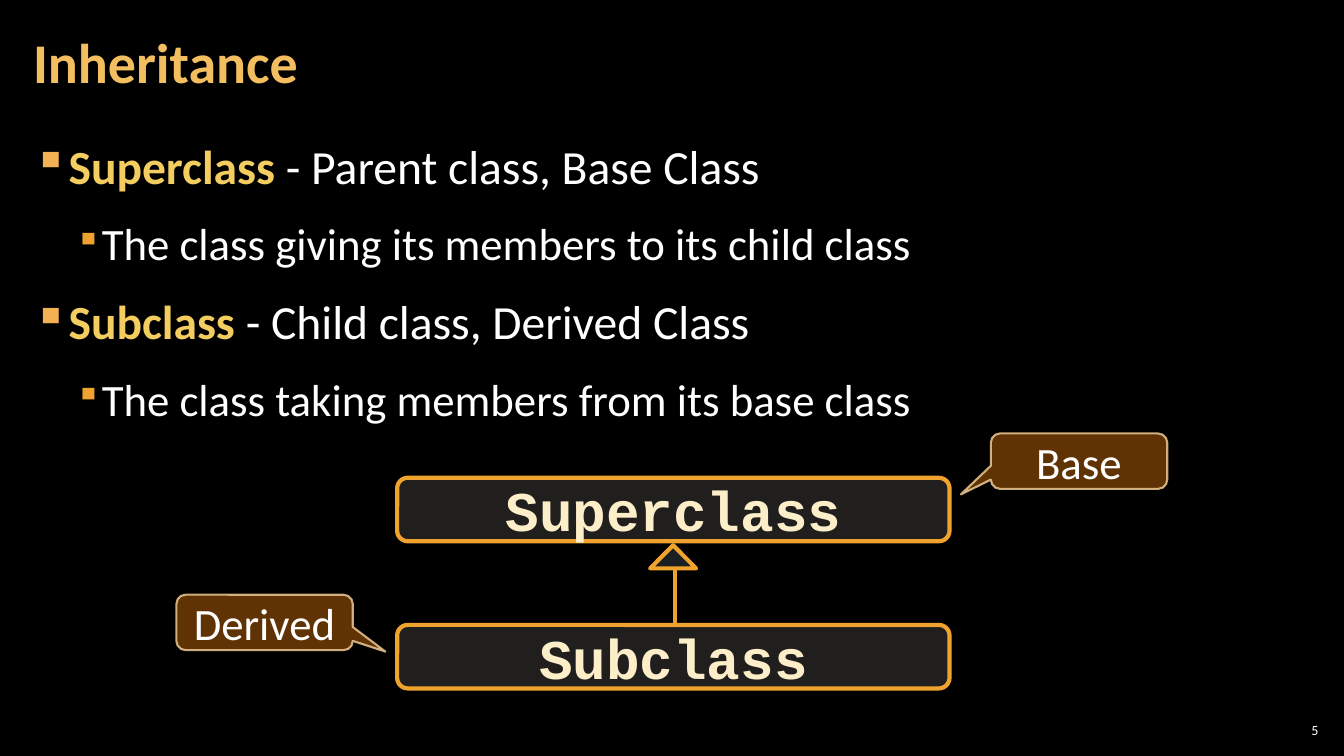
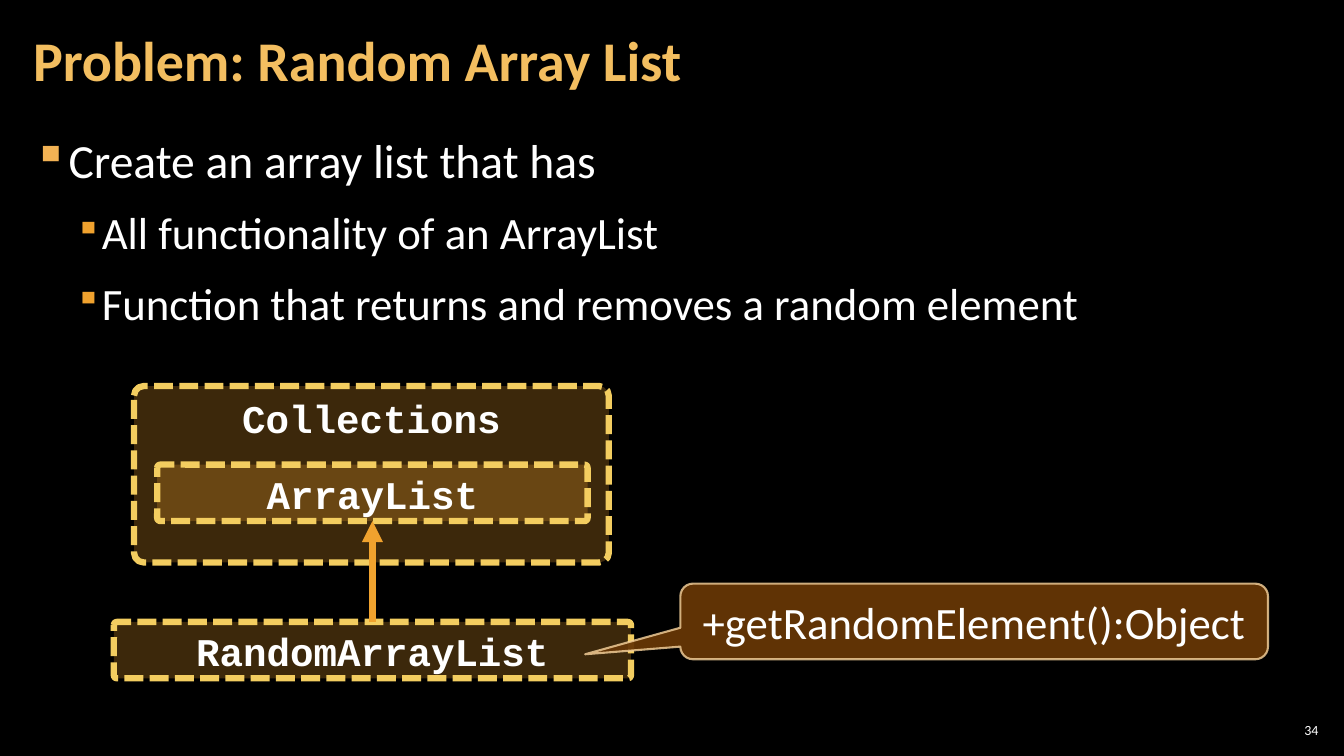
import dataclasses
import pptx
import pptx.util
import pptx.dml.color
import pptx.enum.dml
import pptx.enum.shapes
import pptx.enum.text
import pptx.oxml
import pptx.oxml.ns

Pt = pptx.util.Pt
SHAPE = pptx.enum.shapes.MSO_SHAPE
ALIGN = pptx.enum.text.PP_ALIGN
ANCHOR = pptx.enum.text.MSO_ANCHOR


@dataclasses.dataclass(frozen=True)
class Theme:
    background: str = "000000"
    text: str = "FFFFFF"
    title: str = "F3BE60"
    term: str = "F3CD60"
    orange: str = "F0A22E"
    cream: str = "FBEEC9"
    class_fill: str = "D9D5C7"
    arrowhead_fill: str = "B5DBE5"
    callout_fill: str = "663606"
    callout_line: str = "F8D49E"
    bullet_colors: tuple = ("F2B254", "F0A22E")
    font: str = "Calibri"
    code_font: str = "Courier New"
    title_size: int = 40
    body_sizes: tuple = (34, 32)
    callout_size: int = 32
    class_size: int = 40
    dashed_size: int = 28
    number_size: int = 10


THEME = Theme()
TITLE_BOX = (15.12, 2.88, 753.84, 87.12)
BODY_BOX = (15.12, 90.72, 929.52, 438.48)
NUMBER_BOX = (910.8, 514.08, 33.84, 15.12)
BULLET_INDENTS = ((24, -24), (48, -18))
BULLET_SCALES = (100, 80)

INHERITANCE = {
    "title": "Inheritance", "title_spacing": 0.9, "number": "5", "spacing": 1.1,
    "body": [
        (0, "Superclass", " - Parent class, Base Class"),
        (1, "", "The class giving its members to its child class"),
        (0, "Subclass ", "- Child class, Derived Class"),
        (1, "", "The class taking members from its base class"),
    ],
}
CLASSES = ["Superclass", "Subclass"]
CLASS_BOX = (283.68, 341.28, 394.56, 45.36)
CLASS_STEP = 105.12
ROLES = [
    ("Derived", (126, 424.8, 126, 39.6), (0.685, 0.526)),
    ("Base", (707.76, 309.6, 126, 39.6), (-0.67, 0.6)),
]

RANDOM_LIST = {
    "title": "Problem: Random Array List", "title_spacing": Pt(40), "number": "34", "spacing": 1.0,
    "body": [
        (0, "", "Create an array list that has"),
        (1, "", "All functionality of an ArrayList"),
        (1, "", "Function that returns and removes a random element"),
    ],
}
LIST_CLASSES = [
    ("Collections", (95.76, 275.76, 339.12, 126)),
    ("ArrayList", (112.32, 331.92, 307.44, 40.32)),
    ("RandomArrayList", (81.36, 444.24, 369.36, 40.32)),
]
METHOD = ("+getRandomElement():Object", (486, 416.88, 419.76, 54), (-0.662, 0.434))


def rgb(color):
    return pptx.dml.color.RGBColor.from_string(color)


def add_xml(parent, tag, **attributes):
    child = pptx.oxml.parse_xml(f"<a:{tag} {pptx.oxml.ns.nsdecls('a')}/>")
    for key, value in attributes.items():
        child.set(key, str(value))
    parent.append(child)
    return child


def set_opacity(shape, where, percent):
    for color in shape.element.spPr.xpath(f"{where}a:solidFill/a:srgbClr"):
        add_xml(color, "alpha", val=percent * 1000)


def style_font(font, size, color, name=THEME.font, bold=False):
    font.size, font.name, font.bold = Pt(size), name, bold
    font.color.rgb = rgb(color)


def paint(shape, fill, opacity, line, width):
    shape.shadow.inherit = False
    shape.fill.solid()
    shape.fill.fore_color.rgb = rgb(fill)
    set_opacity(shape, "./", opacity)
    shape.line.color.rgb = rgb(line)
    shape.line.width = Pt(width)


def add_text_frame(slide, box, margins, anchor):
    frame = slide.shapes.add_textbox(*map(Pt, box)).text_frame
    frame.word_wrap = True
    frame.vertical_anchor = anchor
    frame.margin_left = frame.margin_right = Pt(margins[0])
    frame.margin_top = frame.margin_bottom = Pt(margins[1])
    return frame


def add_bullet(paragraph, level, term, text, spacing):
    paragraph.level = level
    paragraph.line_spacing = spacing
    paragraph.space_before = paragraph.space_after = Pt(6)
    properties = paragraph._p.get_or_add_pPr()
    left, hanging = BULLET_INDENTS[level]
    properties.set("marL", str(Pt(left)))
    properties.set("indent", str(Pt(hanging)))
    bullet_color = add_xml(properties, "buClr")
    add_xml(bullet_color, "srgbClr", val=THEME.bullet_colors[level])
    add_xml(properties, "buSzPct", val=BULLET_SCALES[level] * 1000)
    add_xml(properties, "buChar", char="▪")
    style_font(paragraph.font, THEME.body_sizes[level], THEME.text)
    if term:
        run = paragraph.add_run()
        run.text = term
        run.font.bold = True
        run.font.color.rgb = rgb(THEME.term)
    paragraph.add_run().text = text


def add_slide(deck, content):
    slide = deck.slides.add_slide(deck.slide_layouts[6])
    slide.background.fill.solid()
    slide.background.fill.fore_color.rgb = rgb(THEME.background)
    body = add_text_frame(slide, BODY_BOX, (8.5, 2.83), ANCHOR.TOP)
    for index, (level, term, text) in enumerate(content["body"]):
        paragraph = body.add_paragraph() if index else body.paragraphs[0]
        add_bullet(paragraph, level, term, text, content["spacing"])
    title = add_text_frame(slide, TITLE_BOX, (8.5, 2.83), ANCHOR.MIDDLE).paragraphs[0]
    title.text = content["title"]
    title.line_spacing = content["title_spacing"]
    style_font(title.font, THEME.title_size, THEME.title, bold=True)
    number = add_text_frame(slide, NUMBER_BOX, (2.83, 2.83), ANCHOR.MIDDLE).paragraphs[0]
    number.text = content["number"]
    number.alignment = ALIGN.RIGHT
    style_font(number.font, THEME.number_size, THEME.text)
    return slide


def add_label(shape, text, anchor, *font, **options):
    frame = shape.text_frame
    frame.vertical_anchor = anchor
    label = frame.paragraphs[0]
    label.text = text
    label.alignment = ALIGN.CENTER
    style_font(label.font, *font, **options)


def add_class(slide, name, box):
    shape = slide.shapes.add_shape(SHAPE.ROUNDED_RECTANGLE, *map(Pt, box))
    paint(shape, THEME.class_fill, 15, THEME.orange, 3)
    add_label(shape, name, ANCHOR.MIDDLE, THEME.class_size, THEME.cream, THEME.code_font, bold=True)
    shape.text_frame.word_wrap = False


def add_dashed_class(slide, name, box):
    shape = slide.shapes.add_shape(SHAPE.ROUNDED_RECTANGLE, *map(Pt, box))
    shape.adjustments[0] = 0.054
    paint(shape, THEME.orange, 25, THEME.term, 4.5)
    shape.line.dash_style = pptx.enum.dml.MSO_LINE.SQUARE_DOT
    add_label(shape, name, ANCHOR.TOP, THEME.dashed_size, THEME.text, THEME.code_font, bold=True)


def add_callout(slide, text, box, tip):
    shape = slide.shapes.add_shape(SHAPE.ROUNDED_RECTANGULAR_CALLOUT, *map(Pt, box))
    shape.adjustments[0], shape.adjustments[1] = tip
    paint(shape, THEME.callout_fill, 95, THEME.callout_line, 1.5)
    set_opacity(shape, "./a:ln/", 80)
    add_label(shape, text, ANCHOR.MIDDLE, THEME.callout_size, THEME.text)


def add_upward_line(slide, x, bottom, top, width):
    line = slide.shapes.add_connector(
        pptx.enum.shapes.MSO_CONNECTOR.STRAIGHT, Pt(x), Pt(bottom), Pt(x), Pt(top))
    line.line.color.rgb = rgb(THEME.orange)
    line.line.width = Pt(width)
    add_xml(line.element.spPr, "effectLst")
    return line


def add_arrowhead(slide, left, base, width, height):
    corners = [(left + width, base), (left + width / 2, base - height)]
    outline = slide.shapes.build_freeform(Pt(left), Pt(base))
    outline.add_line_segments([(Pt(x), Pt(y)) for x, y in corners], close=True)
    paint(outline.convert_to_shape(), THEME.arrowhead_fill, 15, THEME.orange, 3)


deck = pptx.Presentation()
deck.slide_width, deck.slide_height = Pt(960), Pt(540)

inheritance = add_slide(deck, INHERITANCE)
left, top, width, height = CLASS_BOX
for index, name in enumerate(CLASSES):
    add_class(inheritance, name, (left, top + index * CLASS_STEP, width, height))
add_upward_line(inheritance, 482.2, top + CLASS_STEP, 406, 3)
add_arrowhead(inheritance, 464.4, 406, 32.8, 16.5)
for role in ROLES:
    add_callout(inheritance, *role)

random_list = add_slide(deck, RANDOM_LIST)
for name, box in LIST_CLASSES:
    add_dashed_class(random_list, name, box)
parent_box, child_box = LIST_CLASSES[1][1], LIST_CLASSES[2][1]
extends = add_upward_line(
    random_list, child_box[0] + child_box[2] / 2, child_box[1], parent_box[1] + parent_box[3], 5)
add_xml(extends.line._get_or_add_ln(), "tailEnd", type="triangle")
add_callout(random_list, *METHOD)

deck.save("out.pptx")
